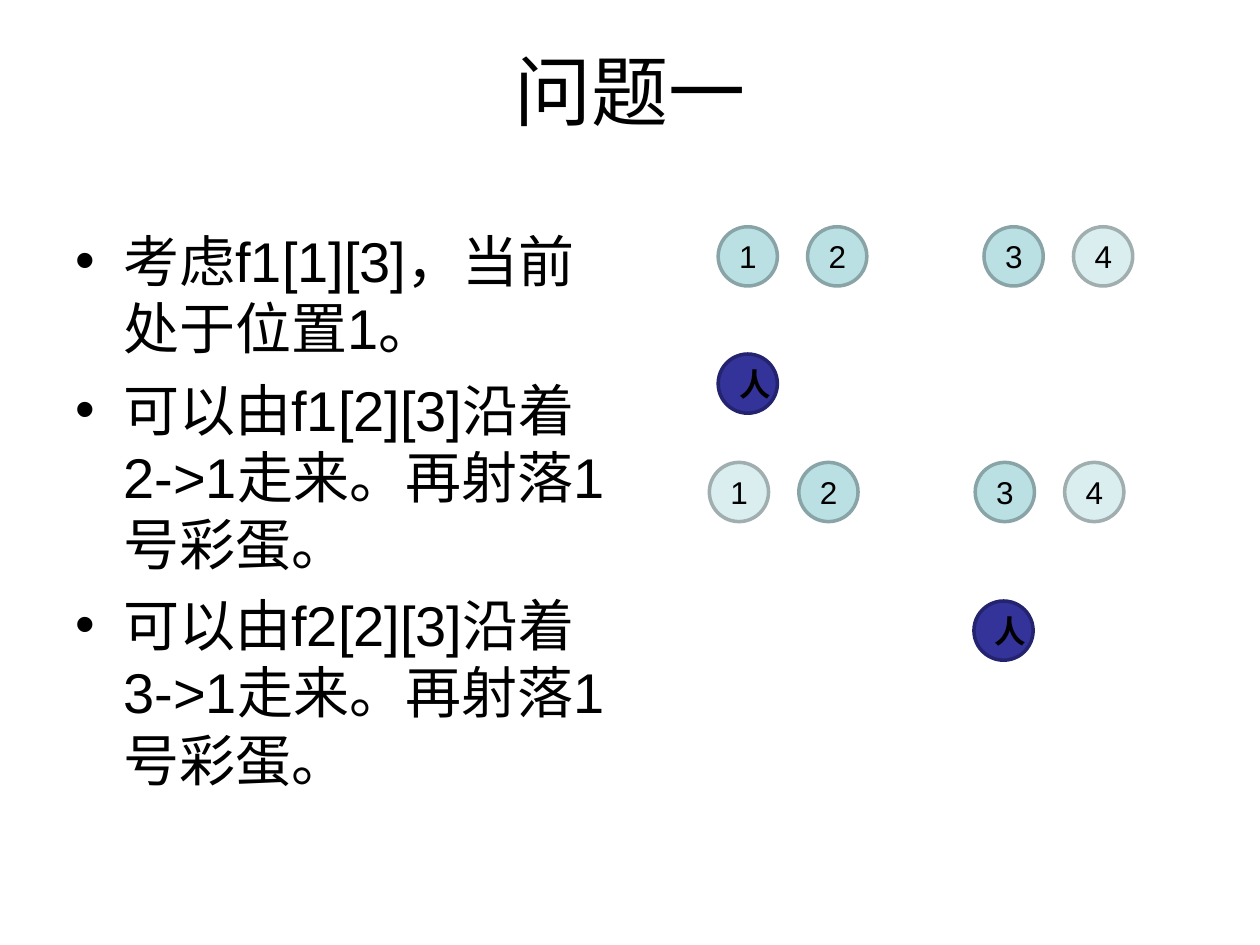
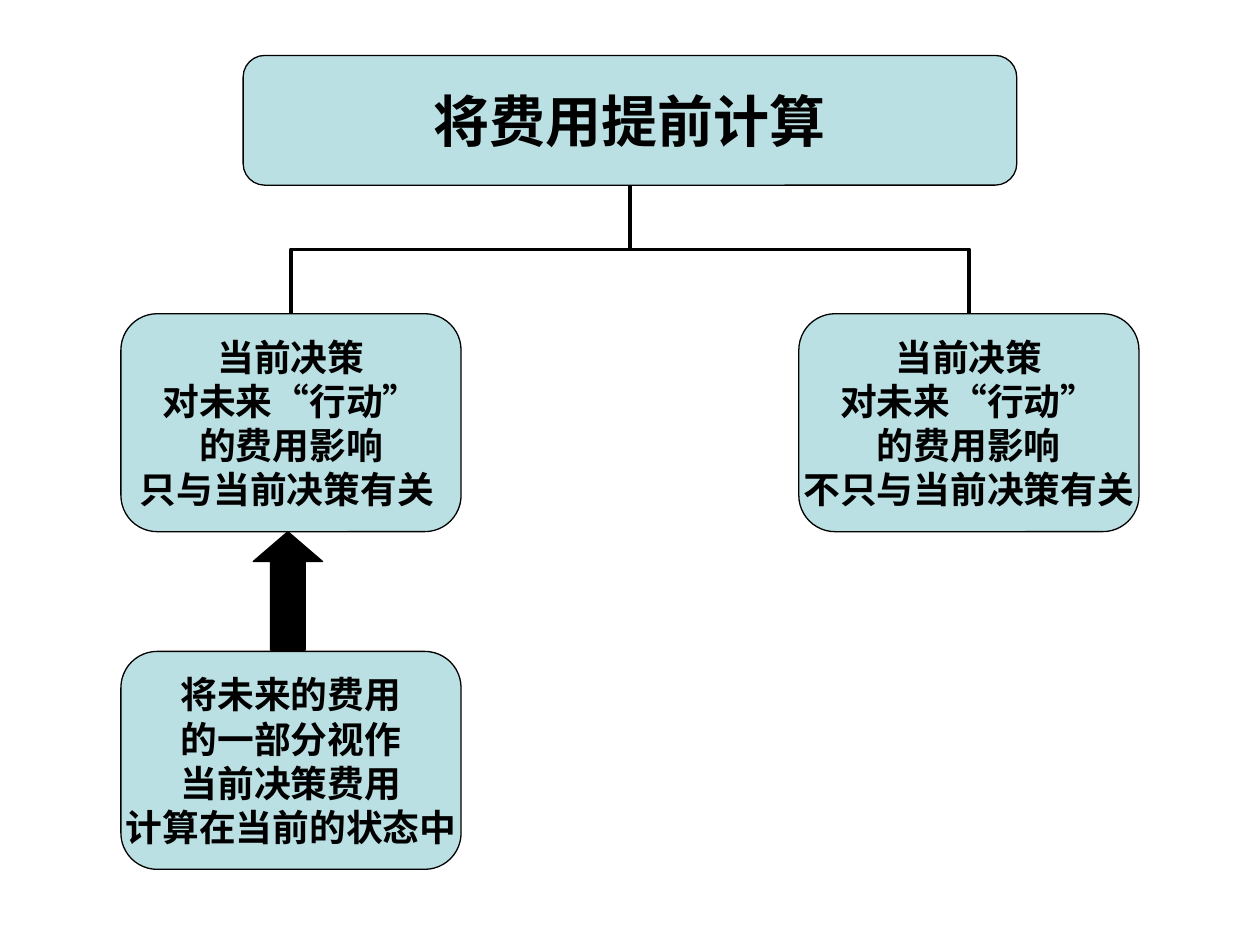
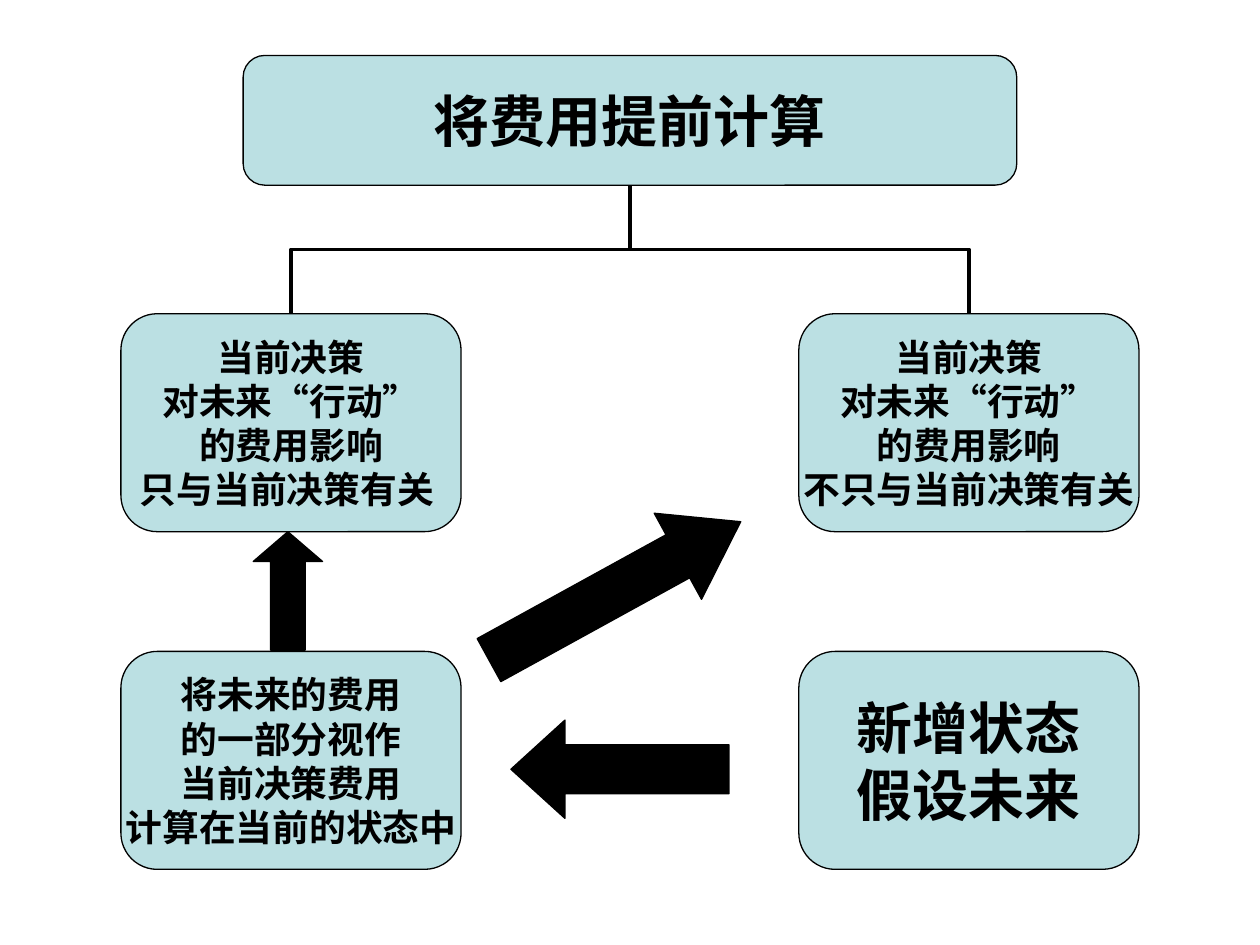
import pptx
import pptx.dml.color
import pptx.enum.shapes
import pptx.enum.text
import pptx.oxml.ns
import pptx.util
import lxml.etree

Inches = pptx.util.Inches
RGBColor = pptx.dml.color.RGBColor
Shapes = pptx.enum.shapes.MSO_SHAPE
Align = pptx.enum.text.PP_ALIGN
Anchor = pptx.enum.text.MSO_ANCHOR
qn = pptx.oxml.ns.qn

BLACK = RGBColor(0x00, 0x00, 0x00)
TEAL = RGBColor(0xBB, 0xE0, 0xE3)
TEAL_EDGE = RGBColor(0x89, 0xA4, 0xA7)
FADED = RGBColor(0xDA, 0xED, 0xEF)
FADED_EDGE = RGBColor(0xA0, 0xAE, 0xB0)
NAVY = RGBColor(0x33, 0x33, 0x99)
NAVY_EDGE = RGBColor(0x23, 0x23, 0x6F)
LATIN = "Arial"
CJK = "Noto Sans CJK SC"


def add_run(paragraph, text, size, font=LATIN, bold=False):
    run = paragraph.add_run()
    run.text = text
    run.font.size = pptx.util.Pt(size)
    run.font.name = font
    run.font.bold = bold
    run.font.color.rgb = BLACK
    east_asian = lxml.etree.SubElement(run.font._element, qn("a:ea"))
    east_asian.set("typeface", CJK)


def add_figure(slide, kind, place, fill, edge, width, lines=(), size=18, bold=True):
    shape = slide.shapes.add_shape(kind, *map(Inches, place))
    shape.shadow.inherit = False
    shape.fill.solid()
    shape.fill.fore_color.rgb = fill
    shape.line.color.rgb = edge
    shape.line.width = pptx.util.Pt(width)
    frame = shape.text_frame
    frame.vertical_anchor = Anchor.MIDDLE
    for index, line in enumerate(lines):
        paragraph = frame.add_paragraph() if index else frame.paragraphs[0]
        paragraph.alignment = Align.CENTER
        add_run(paragraph, line, size, bold=bold)
    return shape


presentation = pptx.Presentation()
presentation.slide_width = Inches(10)
presentation.slide_height = Inches(7.5)
blank = presentation.slide_layouts[6]

# Slide 1: title
slide = presentation.slides.add_slide(blank)
title = slide.shapes.add_textbox(Inches(0.5), Inches(0.3), Inches(9), Inches(1.25))
title.text_frame.word_wrap = True
paragraph = title.text_frame.paragraphs[0]
paragraph.alignment = Align.CENTER
add_run(paragraph, "问题一", 44, CJK)

# Slide 1: bullets, alternating Chinese and Latin runs
bullets = [
    ["考虑", "f1[1][3]", "，当前处于位置", "1", "。"],
    ["可以由", "f1[2][3]", "沿着", "2->1", "走来。再射落", "1", "号彩蛋。"],
    ["可以由", "f2[2][3]", "沿着", "3->1", "走来。再射落", "1", "号彩蛋。"],
]
body = slide.shapes.add_textbox(Inches(0.5), Inches(1.75), Inches(4.5), Inches(4.95))
body.text_frame.word_wrap = True
for index, pieces in enumerate(bullets):
    paragraph = body.text_frame.add_paragraph() if index else body.text_frame.paragraphs[0]
    paragraph.space_before = pptx.util.Pt(8)
    properties = paragraph._p.get_or_add_pPr()
    properties.set("marL", str(Inches(0.38)))
    properties.set("indent", str(-Inches(0.38)))
    lxml.etree.SubElement(properties, qn("a:buFont")).set("typeface", LATIN)
    lxml.etree.SubElement(properties, qn("a:buChar")).set("char", "•")
    for position, piece in enumerate(pieces):
        add_run(paragraph, piece, 32, LATIN if position % 2 else CJK)

# Slide 1: two rows of eggs, faded once shot, with the person below
egg_offsets = [0, 0.71, 2.11, 2.82]
egg_rows = [(5.7, 1.8, {4}, (5.7, 2.81)), (5.63, 3.67, {1, 4}, (7.73, 4.77))]
for left, top, shot, person in egg_rows:
    for number, offset in enumerate(egg_offsets, start=1):
        fill, edge = (FADED, FADED_EDGE) if number in shot else (TEAL, TEAL_EDGE)
        add_figure(slide, Shapes.OVAL, (left + offset, top, 0.47, 0.47), fill, edge, 2,
                   [str(number)], bold=False)
    add_figure(slide, Shapes.OVAL, (*person, 0.47, 0.47), NAVY, NAVY_EDGE, 2, ["人"])

# Slides 2 and 3: the diagram grows by one step
LEFT, RIGHT, UPPER, LOWER = 0.96, 6.34, 2.49, 5.17
BOX = (2.7, 1.73)
effect = ["当前决策", "对未来“行动”", "的费用影响"]
common_boxes = [
    ((1.93, 0.44, 6.14, 1.03), ["将费用提前计算"], 32),
    ((LEFT, UPPER, *BOX), effect + ["只与当前决策有关 "], 21),
    ((RIGHT, UPPER, *BOX), effect + ["不只与当前决策有关"], 21),
    ((LEFT, LOWER, *BOX),
     ["将未来的费用", "的一部分视作", "当前决策费用", "计算在当前的状态中"], 21),
]
new_state = ((RIGHT, LOWER, *BOX), ["新增状态", "假设未来"], 32)
# Arrow: place, head length ratio, rotation
up_arrow = ((2.01, 4.22, 0.55, 0.94), 0.43, 0)
new_arrows = [((4.53, 5.24, 0.78, 1.73), 0.55, 270), ((4.49, 3.55, 0.78, 2.28), 0.73, 61.2)]
steps = [(common_boxes, [up_arrow]), (common_boxes + [new_state], [up_arrow] + new_arrows)]

for boxes, arrows in steps:
    slide = presentation.slides.add_slide(blank)

    # Boxes
    for place, lines, size in boxes:
        box = add_figure(slide, Shapes.ROUNDED_RECTANGLE, place, TEAL, BLACK, 0.75, lines, size)
        frame = box.text_frame
        frame.word_wrap = False
        frame.margin_left = frame.margin_right = frame.margin_top = frame.margin_bottom = 0

    # Elbow connectors from the top box, each turned a quarter about its centre
    drop, reach, middle = 1.02, 2.69, 1.98
    for side, turn in ((1, 270), (-1, 90)):
        centre = 5 + side * reach / 2
        connector = slide.shapes.add_connector(
            pptx.enum.shapes.MSO_CONNECTOR.ELBOW,
            Inches(centre + side * drop / 2), Inches(middle - reach / 2),
            Inches(centre - side * drop / 2), Inches(middle + reach / 2))
        connector.line.color.rgb = BLACK
        connector.line.width = pptx.util.Pt(2.25)
        properties = connector._element.spPr
        properties.find(qn("a:xfrm")).set("rot", str(turn * 60000))
        lxml.etree.SubElement(properties, qn("a:effectLst"))

    # Block arrows
    for place, head, turn in arrows:
        arrow = add_figure(slide, Shapes.UP_ARROW, place, BLACK, BLACK, 0.75)
        arrow.adjustments[1] = head
        arrow.rotation = turn

presentation.save("out.pptx")
